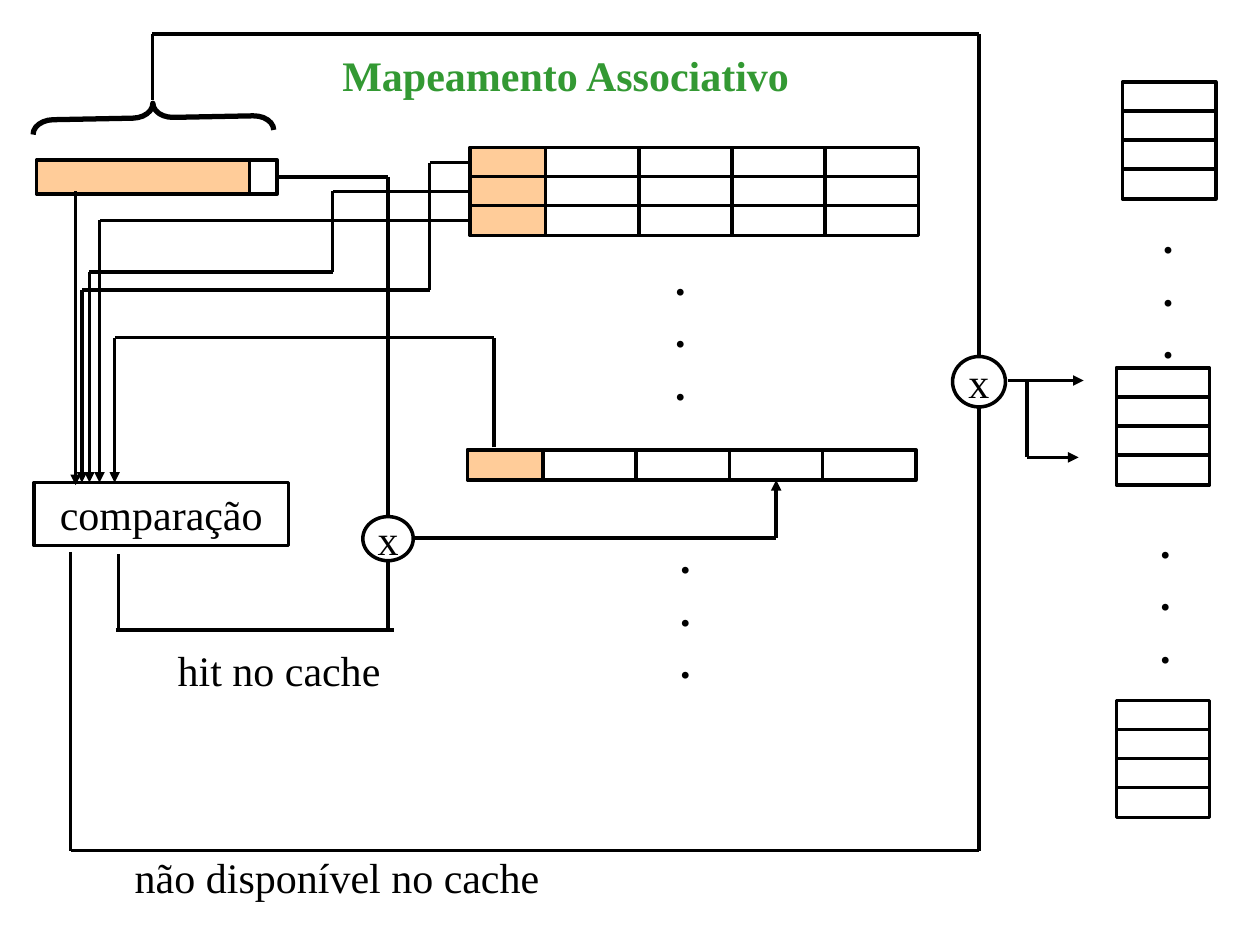
import pptx
import pptx.dml.color
import pptx.enum.shapes
import pptx.enum.text
import pptx.oxml
import pptx.oxml.ns
import pptx.util
from dataclasses import dataclass


@dataclass(frozen=True)
class Theme:
    ink: str = "000000"
    paper: str = "FFFFFF"
    tag: str = "FFCC99"
    title: str = "339933"
    font: str = "Times New Roman"
    text_size: float = 24
    dot_gap: float = 1.2
    line: float = 2
    frame_line: float = 2.25
    brace_line: float = 3


theme = Theme()
SHAPE = pptx.enum.shapes.MSO_SHAPE
ANCHOR = pptx.enum.text.MSO_ANCHOR
rgb = pptx.dml.color.RGBColor.from_string

deck = pptx.Presentation()
deck.slide_width = pptx.util.Inches(10)
deck.slide_height = pptx.util.Inches(7.5)
page = deck.slides.add_slide(deck.slide_layouts[6])

# The page grid has 100 columns and 75 rows; all places are (column, row).
column = deck.slide_width / 100
row = deck.slide_height / 75


def add_block(kind, left, top, width, height, fill=None, weight=theme.line):
    """Add an outlined shape placed in grid units; no fill leaves it hollow."""
    block = page.shapes.add_shape(
        kind, int(left * column), int(top * row), int(width * column), int(height * row))
    block.shadow.inherit = False
    if fill:
        block.fill.solid()
        block.fill.fore_color.rgb = rgb(fill)
    else:
        block.fill.background()
    block.line.color.rgb = rgb(theme.ink)
    block.line.width = pptx.util.Pt(weight)
    return block


def add_wire(points, arrow=False, start=None, end=None):
    """Run straight connectors through points; start and end are (shape, site)."""
    last = len(points) - 2
    for number, (a, b) in enumerate(zip(points, points[1:])):
        wire = page.shapes.add_connector(
            pptx.enum.shapes.MSO_CONNECTOR.STRAIGHT,
            int(a[0] * column), int(a[1] * row), int(b[0] * column), int(b[1] * row))
        if start and number == 0:
            wire.begin_connect(*start)
        if end and number == last:
            wire.end_connect(*end)
        wire.line.color.rgb = rgb(theme.ink)
        wire.line.width = pptx.util.Pt(theme.line)
        if arrow and number == last:
            head = pptx.oxml.parse_xml(
                f'<a:tailEnd {pptx.oxml.ns.nsdecls("a")} type="triangle"/>')
            wire.line._get_or_add_ln().append(head)
        wire._element.spPr.append(
            pptx.oxml.parse_xml(f'<a:effectLst {pptx.oxml.ns.nsdecls("a")}/>'))


# Address: tag and word fields, with the brace above
add_block(SHAPE.RECTANGLE, 2.9, 12.7, 17, 2.7, theme.tag)
word_field = add_block(SHAPE.RECTANGLE, 19.8, 12.7, 2.2, 2.7, theme.paper)
brace = add_block(SHAPE.LEFT_BRACE, 11, -0.2, 2.3, 19.1, weight=theme.brace_line)
brace.rotation = 88.9
brace.adjustments[0] = 0.7
comparison = add_block(SHAPE.RECTANGLE, 2.7, 38.3, 20.2, 5, weight=theme.frame_line)

# Cache lines: one tag followed by four words
cell_width, cell_height, row_pitch = 7.4, 2.4, 2.3
cache_lines = []
for left, top in [(37.3, 11.7 + row_pitch * i) for i in range(3)] + [(37.1, 35.7)]:
    cells = [add_block(SHAPE.RECTANGLE, left, top, 6.4, cell_height, theme.tag)]
    for word in range(4):
        cells.append(add_block(SHAPE.RECTANGLE, left + 6 + word * cell_width, top,
                               cell_width, cell_height, theme.paper))
    cache_lines.append(cells)

# Main memory: three blocks of four words
for left, top in [(89.1, 6.5), (88.6, 29.2), (88.6, 55.6)]:
    for word in range(4):
        add_block(SHAPE.RECTANGLE, left, top + word * row_pitch,
                  cell_width, cell_height, theme.paper)

# Tags carried to the comparison: (line, turn column, bus row, arrow column)
compare_top = 38.3
add_wire([(6, 15.2), (6, 38.5)], arrow=True)
for line, turn, bus, drop in [(0, 34.1, 23), (1, 26.4, 21.6), (2, None, None)] and [
        (0, 34.1, 23, 6.5), (1, 26.4, 21.6, 7.1), (2, 7.9, 17.5, 7.9)]:
    middle = 11.7 + row_pitch * line + cell_height / 2
    if turn == drop:
        points = [(37.3, middle), (drop, middle)]
    else:
        points = [(37.3, middle), (turn, middle), (turn, bus), (drop, bus)]
    add_wire(points + [(drop, compare_top)], arrow=True, start=(cache_lines[line][0], 1))
add_wire([(39.2, 35.5), (39.2, 26.8), (9.1, 26.8), (9.1, compare_top)], arrow=True)

# Hit: the word field selects a word of the cache line
hit_x, selected_x = 30.8, 61.6
add_wire([(22, 14.05), (hit_x, 14.05), (hit_x, 41)], start=(word_field, 3))
add_wire([(9.4, 44), (9.4, 50)])
add_wire([(9.2, 50), (31.3, 50)])
add_wire([(hit_x, 50), (hit_x, 44.4)])
add_wire([(32.5, 42.7), (selected_x, 42.7), (selected_x, 38.1)], arrow=True,
         end=(cache_lines[3][3], 2))

# Miss: the full address selects a block of main memory
miss_x = 77.7
add_wire([(5.6, 43.8), (5.6, 67.5), (miss_x, 67.5), (miss_x, 32.3)])
add_wire([(12.1, 7.9), (12.1, 2.7), (miss_x, 2.7), (miss_x, 28.3)])
add_wire([(80, 30.2), (86, 30.2)], arrow=True)
add_wire([(81.5, 30.2), (81.5, 36.3), (85.6, 36.3)], arrow=True)

hit_gate = add_block(SHAPE.OVAL, 28.8, 41, 4, 3.5, theme.paper)
miss_gate = add_block(SHAPE.OVAL, 75.6, 28.3, 4.2, 4, theme.paper)

# Wording: (holder, text, colour, bold, wrap, anchor)
texts = [
    (comparison, "comparação", theme.ink, False, True, ANCHOR.TOP),
    (hit_gate, "x", theme.ink, False, False, ANCHOR.MIDDLE),
    (miss_gate, "x", theme.ink, False, False, ANCHOR.MIDDLE),
]
dots = "\n".join("..." )
for place, text, colour, bold in [
    ((26.1, 3.4, 37.6, 5), "Mapeamento Associativo", theme.title, True),
    ((13.1, 50.7, 18.1, 5), "hit no cache", theme.ink, False),
    ((9.7, 67.1, 34.1, 5), "não disponível no cache", theme.ink, False),
    ((52.6, 19.6, 2.8, 13), dots, theme.ink, True),
    ((53, 41.7, 2.8, 13), dots, theme.ink, True),
    ((91.3, 16.3, 2.8, 13), dots, theme.ink, True),
    ((91.1, 40.5, 2.8, 13), dots, theme.ink, True),
]:
    left, top, width, height = place
    box = page.shapes.add_textbox(
        int(left * column), int(top * row), int(width * column), int(height * row))
    texts.append((box, text, colour, bold, False, ANCHOR.TOP))

for holder, text, colour, bold, wrap, anchor in texts:
    frame = holder.text_frame
    frame.text = text
    frame.word_wrap = wrap
    frame.vertical_anchor = anchor
    for number, para in enumerate(frame.paragraphs):
        para.alignment = pptx.enum.text.PP_ALIGN.CENTER
        if number:
            para.space_before = pptx.util.Pt(theme.dot_gap)
        for span in para.runs:
            span.font.name = theme.font
            span.font.size = pptx.util.Pt(theme.text_size)
            span.font.bold = bold
            span.font.color.rgb = rgb(colour)

deck.save("out.pptx")
